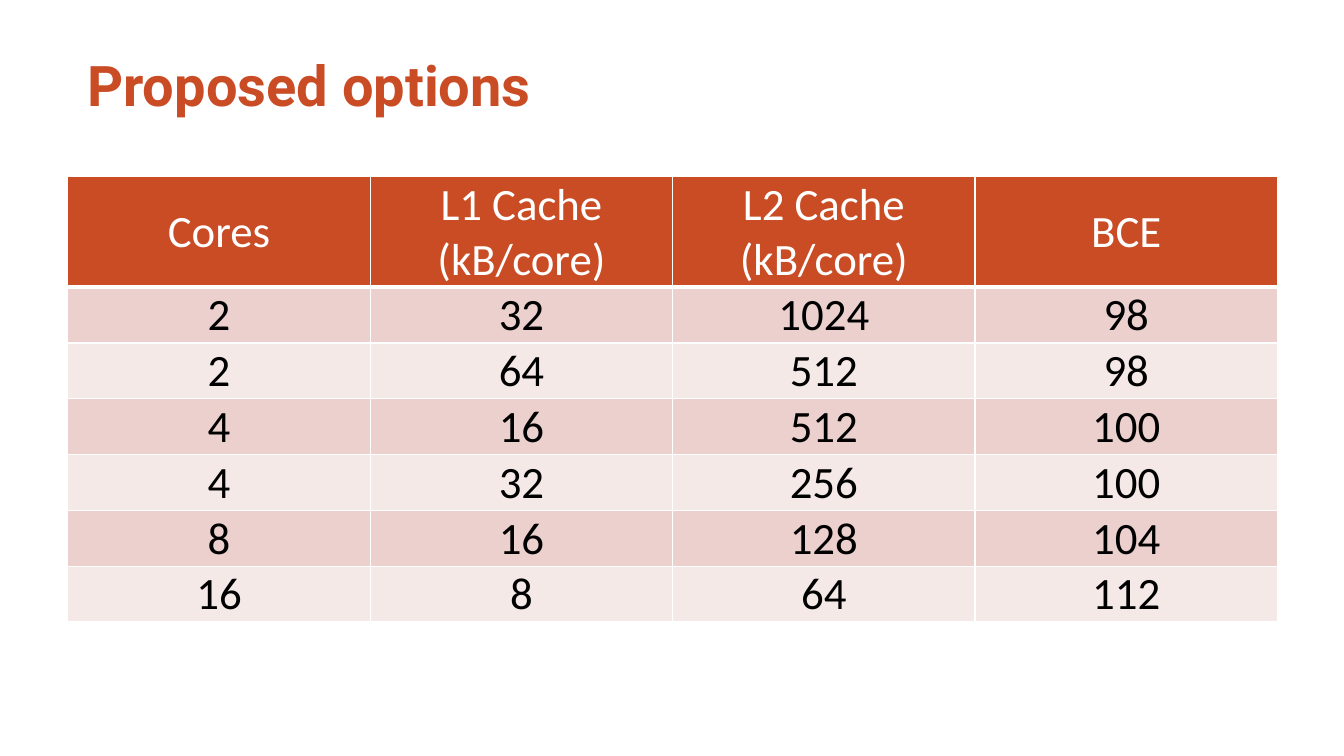
"""Build the slide that lists the proposed core and cache options."""
from dataclasses import dataclass
from typing import Any

from lxml.etree import SubElement
from pptx import Presentation
from pptx.dml.color import RGBColor
from pptx.enum.text import MSO_ANCHOR, MSO_AUTO_SIZE, PP_ALIGN
from pptx.oxml.ns import qn
from pptx.util import Pt

HUES = {
    "rust": "C94C25",
    "rose": "EBD0CD",
    "blush": "F5E9E8",
    "white": "FFFFFF",
    "black": "000000",
}
HEADS = ("Cores", "L1 Cache (kB/core)", "L2 Cache (kB/core)", "BCE")
DATA = (
    (2, 32, 1024, 98),
    (2, 64, 512, 98),
    (4, 16, 512, 100),
    (4, 32, 256, 100),
    (8, 16, 128, 104),
    (16, 8, 64, 112),
)
PLACE = {"left": Pt(48), "top": Pt(28.8), "width": Pt(512), "height": Pt(62.6)}
FRAME = {
    "margin_left": 0,
    "margin_right": 0,
    "margin_top": Pt(3.6),
    "margin_bottom": Pt(3.6),
    "vertical_anchor": MSO_ANCHOR.MIDDLE,
    "auto_size": MSO_AUTO_SIZE.NONE,
    "word_wrap": True,
}
INSET = {
    "margin_left": Pt(0.72),
    "margin_right": Pt(0.72),
    "margin_top": Pt(0.72),
    "margin_bottom": 0,
}
BIG = {"name": "Roboto", "size": Pt(40), "bold": True}
PLAIN = {"name": "Calibri", "size": Pt(32), "bold": False}


@dataclass(frozen=True)
class Band:
    """Look and content of one table row."""

    texts: tuple
    fill: str
    ink: str = "black"
    anchor: Any = MSO_ANCHOR.BOTTOM
    high: float = 39
    above: float = 1
    below: float = 1


def apply(item: Any, style: dict) -> None:
    """Set each attribute named in the style."""
    for name, value in style.items():
        setattr(item, name, value)


def paint(hue: str) -> RGBColor:
    """Return the named colour."""
    return RGBColor.from_string(HUES[hue])


def write(par: Any, text: str, style: dict, hue: str, align: Any) -> None:
    """Put one styled run in a paragraph."""
    par.alignment = align
    run = par.add_run()
    run.text = text
    apply(run.font, style)
    run.font.color.rgb = paint(hue)


def edge(cell: Any, side: str, width: float) -> None:
    """Draw one white border of a cell."""
    line = SubElement(cell._tc.get_or_add_tcPr(), qn(f"a:ln{side}"), w=str(int(Pt(width))))
    fill = SubElement(line, qn("a:solidFill"))
    SubElement(fill, qn("a:srgbClr"), val=HUES["white"])


def draw_cell(cell: Any, text: str, band: Band) -> None:
    """Fill, frame and label one cell."""
    apply(cell, INSET | {"vertical_anchor": band.anchor})
    for side, width in {"L": 1, "R": 1, "T": band.above, "B": band.below}.items():
        edge(cell, side, width)
    cell.fill.solid()
    cell.fill.fore_color.rgb = paint(band.fill)
    write(cell.text_frame.paragraphs[0], text, PLAIN, band.ink, PP_ALIGN.CENTER)


def draw_title(title: Any, text: str) -> None:
    """Place and format the title."""
    apply(title, PLACE)
    apply(title.text_frame, FRAME)
    par = title.text_frame.paragraphs[0]
    write(par, text, BIG, "rust", PP_ALIGN.LEFT)
    par._p.get_or_add_pPr().set("marL", str(int(Pt(14.4))))


def draw_table(slide: Any, bands: list[Band]) -> None:
    """Draw the table from its bands."""
    high = sum(band.high for band in bands)
    shape = slide.shapes.add_table(
        len(bands), len(HEADS), Pt(48.5), Pt(126.2), Pt(864), Pt(high)
    )
    for row, band in zip(shape.table.rows, bands):
        row.height = Pt(band.high)
        for cell, text in zip(row.cells, band.texts):
            draw_cell(cell, str(text), band)


def main() -> None:
    """Build and save the slide."""
    deck = Presentation()
    apply(deck, {"slide_width": Pt(960), "slide_height": Pt(540)})
    slide = deck.slides.add_slide(deck.slide_layouts[5])
    draw_title(slide.shapes.title, "Proposed options")
    head = Band(HEADS, "rust", "white", MSO_ANCHOR.MIDDLE, high=78, below=3)
    body = [
        Band(texts, ("rose", "blush")[i % 2], above=1 if i else 3)
        for i, texts in enumerate(DATA)
    ]
    draw_table(slide, [head, *body])
    deck.save("out.pptx")


if __name__ == "__main__":
    main()
